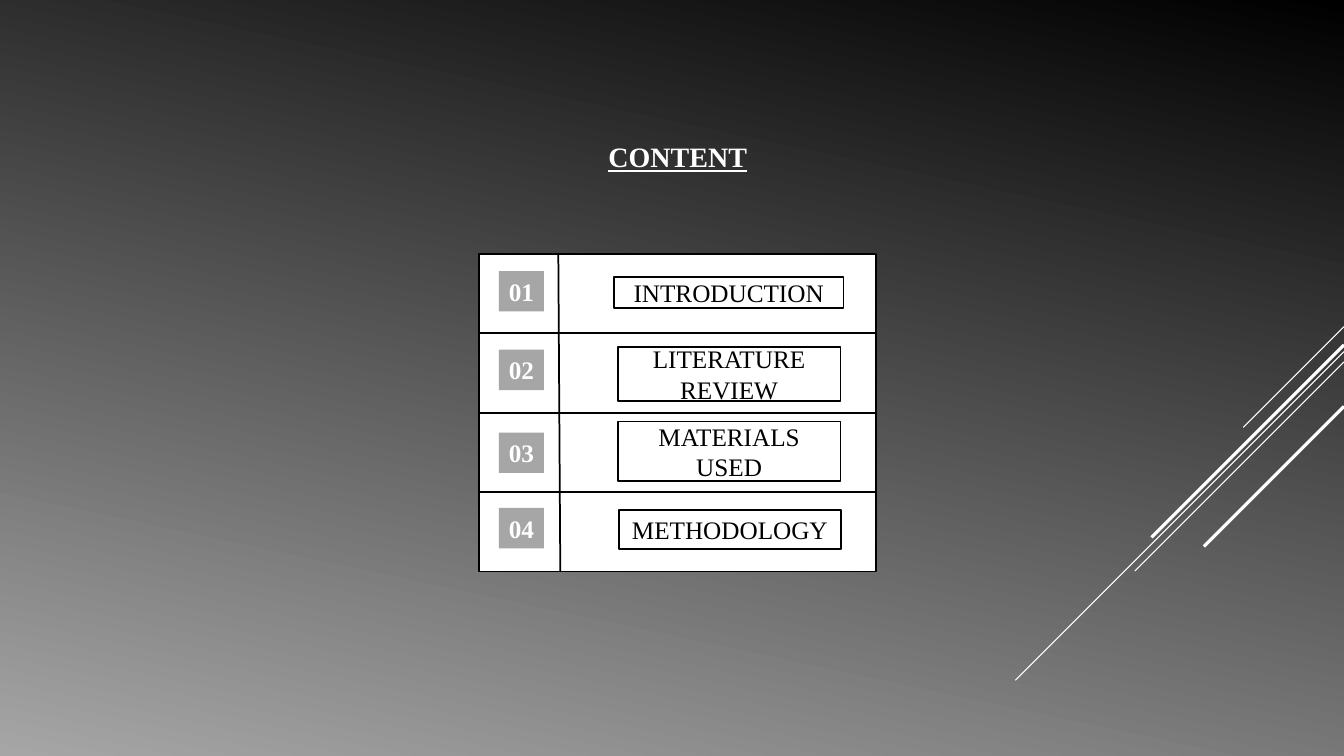
"""Build a content slide: a numbered four-row board on a dark gradient."""
from dataclasses import dataclass

from lxml import etree
from pptx import Presentation
from pptx.dml.color import RGBColor
from pptx.enum.shapes import MSO_CONNECTOR, MSO_SHAPE
from pptx.enum.text import MSO_ANCHOR, MSO_AUTO_SIZE, PP_ALIGN
from pptx.oxml.ns import qn
from pptx.shapes.autoshape import Shape
from pptx.slide import Slide
from pptx.util import Cm, Pt

LINE = MSO_CONNECTOR.STRAIGHT
RECT = MSO_SHAPE.RECTANGLE
PROCESS = MSO_SHAPE.FLOWCHART_PROCESS
TOP, MIDDLE = MSO_ANCHOR.TOP, MSO_ANCHOR.MIDDLE
CENTER = PP_ALIGN.CENTER
FIT = MSO_AUTO_SIZE.SHAPE_TO_FIT_TEXT

WIDE, HIGH = 33.87, 19.05
FONT = "Times New Roman"
BLACK, WHITE, GREY = "000000", "FFFFFF", "A6A6A6"
RULE = 1.25


@dataclass(frozen=True)
class Box:
    left: float
    top: float
    width: float
    height: float


@dataclass(frozen=True)
class Stripe:
    top: float
    run: float
    weight: float


@dataclass(frozen=True)
class Topic:
    text: str
    frame: Box
    badge: float


BOARD = Box(12.07, 6.4, 10, 8)
STRIPES = (
    Stripe(8.23, 2.54, 0.75),
    Stripe(8.86, 8.28, 0.75),
    Stripe(9.12, 5.27, 0.75),
    Stripe(8.69, 4.85, 2.25),
    Stripe(10.24, 3.53, 2.25),
)
TOPICS = (
    Topic("INTRODUCTION", Box(15.47, 6.98, 5.79, 0.79), 6.83),
    Topic("LITERATURE REVIEW", Box(15.57, 8.74, 5.61, 1.37), 8.81),
    Topic("MATERIALS USED", Box(15.57, 10.62, 5.61, 1.5), 10.9),
    Topic("METHODOLOGY", Box(15.6, 12.85, 5.59, 0.99), 12.8),
)


def color(code: str) -> RGBColor:
    return RGBColor.from_string(code)


def paint(slide: Slide) -> None:
    fill = slide.background.fill
    fill.gradient()
    fill.gradient_angle = 258
    for stop, code in zip(fill.gradient_stops, (BLACK, GREY)):
        stop.color.rgb = color(code)


def draw_line(slide: Slide, x1: float, y1: float, x2: float, y2: float,
              code: str, weight: float) -> None:
    line = slide.shapes.add_connector(LINE, Cm(x1), Cm(y1), Cm(x2), Cm(y2))
    line.line.color.rgb = color(code)
    line.line.width = Pt(weight)
    etree.SubElement(line._element.spPr, qn("a:effectLst"))


def draw_box(slide: Slide, kind: MSO_SHAPE, box: Box, fill: str,
             edge: str = "") -> Shape:
    shape = slide.shapes.add_shape(
        kind, Cm(box.left), Cm(box.top), Cm(box.width), Cm(box.height))
    shape.shadow.inherit = False
    shape.fill.solid()
    shape.fill.fore_color.rgb = color(fill)
    if edge:
        shape.line.color.rgb = color(edge)
        shape.line.width = Pt(RULE)
    else:
        shape.line.fill.background()
    return shape


def write(shape: Shape, text: str, size: float, code: str,
          bold: bool = False, line: bool = False) -> None:
    frame = shape.text_frame
    frame.text = text
    frame.vertical_anchor = MIDDLE
    frame.word_wrap = True
    para = frame.paragraphs[0]
    para.alignment = CENTER
    font = para.font
    font.name, font.size = FONT, Pt(size)
    font.bold, font.underline = bold, line
    font.color.rgb = color(code)


def hug(shape: Shape) -> None:
    frame = shape.text_frame
    frame.word_wrap = False
    frame.auto_size = FIT
    frame.vertical_anchor = TOP


def draw_title(slide: Slide) -> None:
    title = slide.shapes.title
    title.left, title.top = Cm(15.06), Cm(3.4)
    title.width, title.height = Cm(4.04), Cm(1.11)
    write(title, "CONTENT", 20, WHITE, bold=True, line=True)
    hug(title)


def draw_board(slide: Slide) -> None:
    left, top = BOARD.left, BOARD.top
    right, base = left + BOARD.width, top + BOARD.height
    step = BOARD.height / len(TOPICS)
    draw_box(slide, PROCESS, BOARD, WHITE, BLACK)
    draw_line(slide, 14.07, top, 14.12, base, BLACK, RULE)
    for row in range(1, len(TOPICS)):
        y = top + row * step
        draw_line(slide, left, y, right, y, BLACK, RULE)
    for num, topic in enumerate(TOPICS, 1):
        label = draw_box(slide, PROCESS, topic.frame, WHITE, BLACK)
        write(label, topic.text, 18, BLACK)
        badge = draw_box(slide, RECT, Box(12.57, topic.badge, 1.14, 1.02), GREY)
        write(badge, f"{num:02}", 18, WHITE, bold=True)
        hug(badge)


def main() -> None:
    deck = Presentation()
    deck.slide_width, deck.slide_height = Cm(WIDE), Cm(HIGH)
    slide = deck.slides.add_slide(deck.slide_layouts[5])
    paint(slide)
    for stripe in STRIPES:
        draw_line(slide, WIDE, stripe.top, WIDE - stripe.run,
                  stripe.top + stripe.run, WHITE, stripe.weight)
    draw_board(slide)
    draw_title(slide)
    deck.save("out.pptx")


if __name__ == "__main__":
    main()
